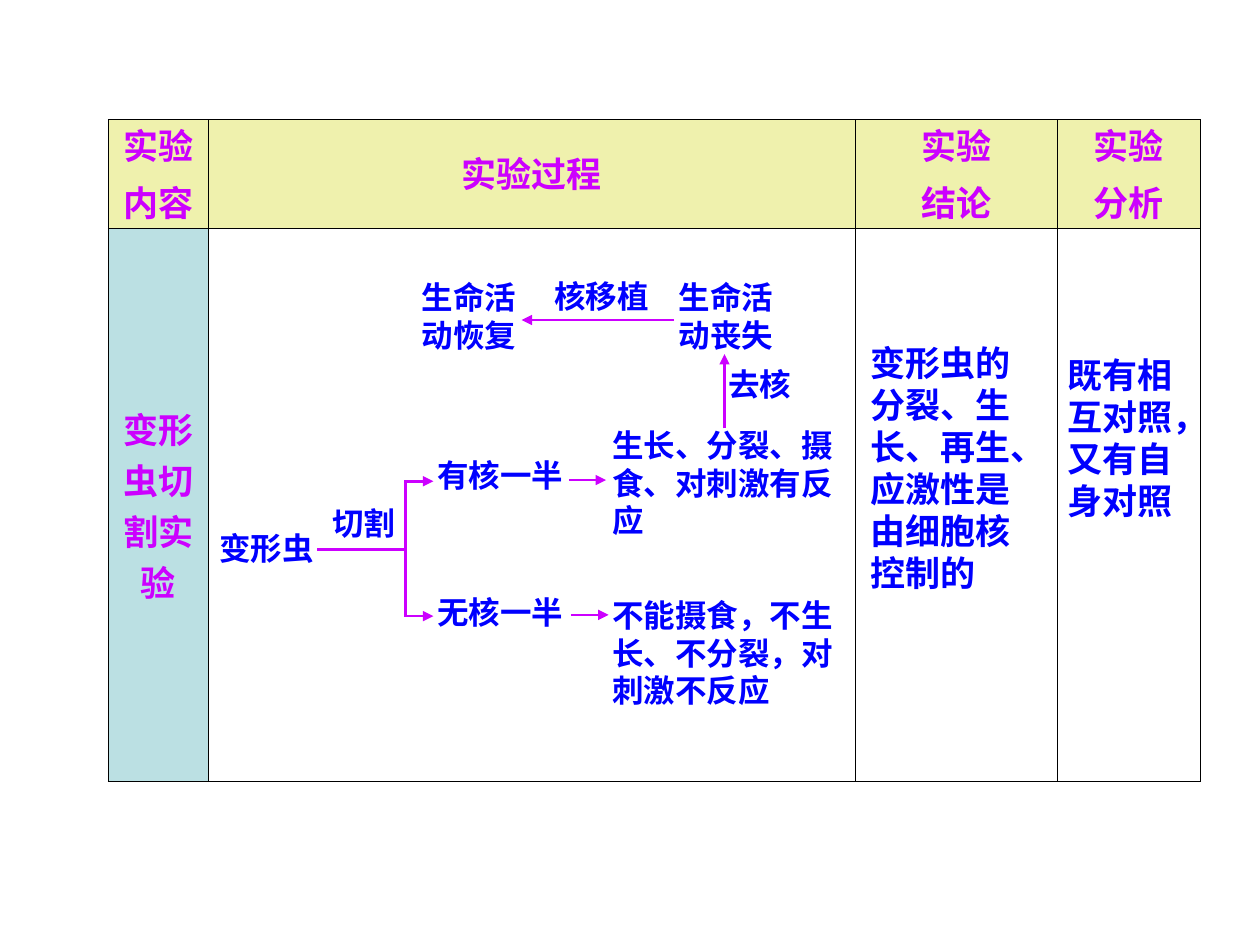
"""Build the amoeba cutting experiment slide: a summary table with a flow diagram."""
from lxml.etree import SubElement
from pptx import Presentation
from pptx.dml.color import RGBColor as RGB
from pptx.enum.shapes import MSO_CONNECTOR as Link
from pptx.enum.text import MSO_ANCHOR as Anchor, PP_ALIGN as Align
from pptx.oxml.ns import qn
from pptx.util import Inches, Pt

THEME = {
    "heading": RGB.from_string("CC00FF"),
    "body": RGB.from_string("0000FF"),
    "header_fill": RGB.from_string("EFF1AD"),
    "topic_fill": RGB.from_string("BBE0E3"),
    "border": "000000",
    "latin": "Arial",
    "cjk": "Noto Sans CJK SC",
    "large": 20,
    "small": 18,
    "leading": 1.2,
    "outer": Pt(0.75),
    "inner": Pt(0.45),
    "arrow": Pt(1.5),
}
COLUMNS, ROWS = 100, 75

deck = Presentation()
deck.slide_width, deck.slide_height = Inches(10), Inches(7.5)
column, row = deck.slide_width / COLUMNS, deck.slide_height / ROWS
slide = deck.slides.add_slide(deck.slide_layouts[6])


def grid(*cells):
    """Turn alternating column and row counts into lengths."""
    return [round(count * (row if i % 2 else column)) for i, count in enumerate(cells)]


def write(frame, lines, size, color, latin, align, leading=None, gap=0):
    """Fill a text frame with one bold paragraph per line."""
    for i, line in enumerate(lines):
        paragraph = frame.paragraphs[0] if i == 0 else frame.add_paragraph()
        layout = {"alignment": align, "line_spacing": leading, "space_before": Pt(gap if i else 0)}
        for key, value in layout.items():
            setattr(paragraph, key, value)
        run = paragraph.add_run()
        run.text = line
        for key, value in {"size": Pt(size), "bold": True, "name": latin}.items():
            setattr(run.font, key, value)
        run.font.color.rgb = color
        SubElement(run.font._element, qn("a:ea"), typeface=THEME["cjk"])


contents = [
    [["实验", "内容"], ["实验过程"], ["实验", "结论"], ["实验", "分析"]],
    [["变形虫切割实验"], [], [], []],
]
widths, heights = [7.9, 51.4, 16, 11.4], [8.6, 43.9]
last_row, last_column = len(heights) - 1, len(widths) - 1
summary = slide.shapes.add_table(
    len(heights), len(widths), *grid(8.6, 9.5, sum(widths), sum(heights))
).table
for flag in ("first_row", "horz_banding"):
    setattr(summary, flag, False)
for c, width in enumerate(widths):
    summary.columns[c].width = round(width * column)
for r, height in enumerate(heights):
    summary.rows[r].height = round(height * row)

for r, texts in enumerate(contents):
    for c, lines in enumerate(texts):
        cell = summary.cell(r, c)
        cell_format = {
            "vertical_anchor": Anchor.MIDDLE,
            "margin_left": Inches(0.1),
            "margin_right": Inches(0.1),
            "margin_top": Inches(0.05),
            "margin_bottom": Inches(0.05 if r else 0),
        }
        for key, value in cell_format.items():
            setattr(cell, key, value)
        edges = {"lnL": c == 0, "lnR": c == last_column, "lnT": r == 0, "lnB": r == last_row}
        for edge, is_outer in edges.items():
            weight = THEME["outer" if is_outer else "inner"]
            border = SubElement(cell._tc.get_or_add_tcPr(), qn(f"a:{edge}"), w=str(weight))
            SubElement(SubElement(border, qn("a:solidFill")), qn("a:srgbClr"), val=THEME["border"])
        if lines:
            cell.fill.solid()
            cell.fill.fore_color.rgb = THEME["topic_fill" if r else "header_fill"]
        else:
            cell.fill.background()
        leading = None if r else Pt(THEME["large"] * THEME["leading"])
        write(cell.text_frame, lines, THEME["large"], THEME["heading"], THEME["latin"],
              Align.CENTER, leading, gap=9)

small, large = THEME["small"], THEME["large"]
notes = [
    (16.4, 41.5, 13.7, 4, small, ["变形虫"]),
    (25.4, 39.5, 7.7, 4, small, ["切割"]),
    (33.7, 35.7, 17.8, 4, small, ["有核一半"]),
    (33.7, 46.6, 17.8, 4, small, ["无核一半"]),
    (47.6, 46.8, 26.2, 10, small, ["不能摄食，不生", "长、不分裂，对", "刺激不反应"]),
    (47.6, 33.3, 26.2, 10, small, ["生长、分裂、摄", "食、对刺激有反", "应"]),
    (56.8, 28.5, 9.8, 4, small, ["去核"]),
    (52.9, 21.6, 16.1, 7, small, ["生命活", "动丧失"]),
    (43, 21.5, 16.1, 4, small, ["核移植"]),
    (32.5, 21.6, 16.1, 7, small, ["生命活", "动恢复"]),
    (83.7, 27.6, 13.5, 14.4, large, ["既有相", "互对照，", "又有自", "身对照"]),
    (68.1, 26.6, 15.9, 21, large,
     ["变形虫的", "分裂、生", "长、再生、", "应激性是", "由细胞核", "控制的"]),
]
for *place, size, lines in notes:
    note = slide.shapes.add_textbox(*grid(*place)).text_frame
    note.word_wrap = True
    write(note, lines, size, THEME["body"], THEME["cjk"], Align.JUSTIFY,
          Pt(size * THEME["leading"]))

steps = [
    (32.2, 38.2, 34.4, 38.2, True),
    (32.2, 48.9, 34.4, 48.9, True),
    (32.2, 38.1, 32.2, 49, False),
    (25.2, 43.6, 32.1, 43.6, False),
    (45.2, 38.1, 48.1, 38.1, True),
    (45.3, 48.8, 48.3, 48.8, True),
    (57.5, 34, 57.5, 28.1, True),
    (53.5, 25.4, 41.4, 25.4, True),
]
for *ends, has_head in steps:
    step = slide.shapes.add_connector(Link.STRAIGHT, *grid(*ends))
    step.line.width = THEME["arrow"]
    step.line.color.rgb = THEME["heading"]
    if has_head:
        SubElement(step.line._get_or_add_ln(), qn("a:tailEnd"), type="triangle")
    SubElement(step._element.spPr, qn("a:effectLst"))

deck.save("out.pptx")
